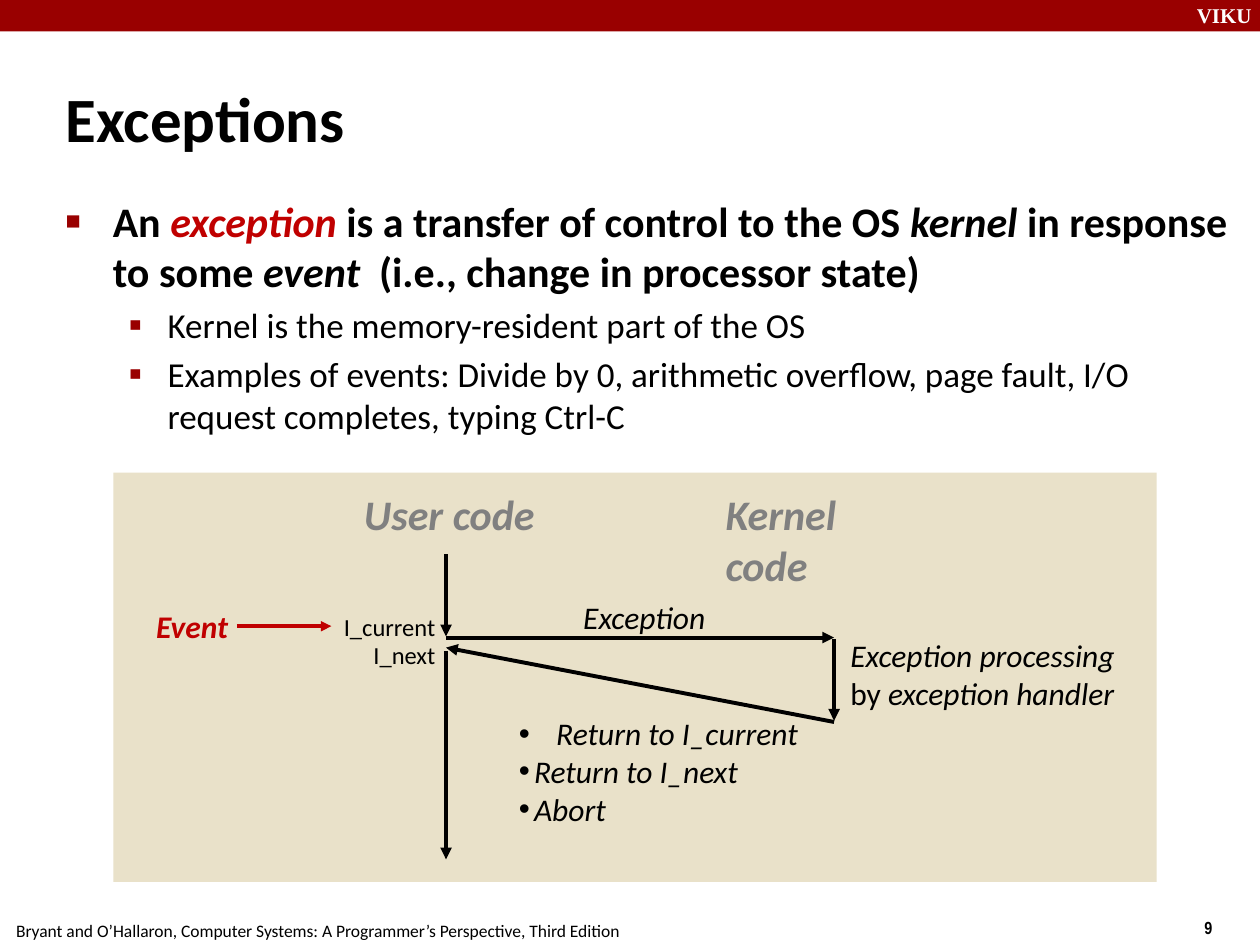
from dataclasses import dataclass
from lxml.etree import SubElement as Sub
from pptx import Presentation
from pptx.dml.color import RGBColor as Rgb
from pptx.enum.shapes import MSO_CONNECTOR as Link, MSO_SHAPE as Form
from pptx.enum.text import MSO_ANCHOR as Anchor, MSO_AUTO_SIZE as Fit, PP_ALIGN as Align
from pptx.oxml.ns import qn
from pptx.util import Inches, Pt

WIDE, HIGH = Inches(10), Inches(7.5)
COL, ROW = WIDE / 100, HIGH / 75


@dataclass(frozen=True)
class Theme:
    font: str = "Calibri"
    serif: str = "Times New Roman"
    narrow: str = "Arial Narrow"
    ink: str = "000000"
    white: str = "FFFFFF"
    band: str = "990000"
    red: str = "C00000"
    gray: str = "808080"
    sand: str = "E9E1C9"
    title: int = 36
    head: int = 24
    item: int = 20
    label: int = 18
    code: int = 14
    brand: int = 12
    foot: int = 10
    line: float = 2.25


T = Theme()


def cells(x, y, w, h):
    return int(x * COL), int(y * ROW), int(w * COL), int(h * ROW)


def place(shape, *area):
    shape.left, shape.top, shape.width, shape.height = cells(*area)


def add_run(para, text, size, color=T.ink, font=T.font, bold=False, slant=False):
    run = para.add_run()
    run.text = text
    face = run.font
    face.name, face.size = font, Pt(size)
    face.bold, face.italic = bold, slant
    face.color.rgb = Rgb.from_string(color)


def indent(para, left, hang):
    props = para._p.get_or_add_pPr()
    props.set("marL", str(int(left * COL)))
    props.set("indent", str(int(-hang * COL)))
    return props


def bullet(para, mark, left, hang, color=T.ink, share=100):
    props = indent(para, left, hang)
    tint = Sub(props, qn("a:buClr"))
    Sub(tint, qn("a:srgbClr"), val=color)
    Sub(props, qn("a:buSzPct"), val=str(share * 1000))
    Sub(props, qn("a:buFont"), typeface="Arial")
    Sub(props, qn("a:buChar"), char=mark)


def add_rect(slide, area, color):
    rect = slide.shapes.add_shape(Form.RECTANGLE, *cells(*area))
    rect.shadow.inherit = False
    rect.fill.solid()
    rect.fill.fore_color.rgb = Rgb.from_string(color)
    rect.line.fill.background()


def add_frame(slide, area):
    frame = slide.shapes.add_textbox(*cells(*area)).text_frame
    frame.word_wrap = True
    frame.auto_size = Fit.NONE
    return frame


def add_label(slide, area, text, size, align=Align.LEFT, **style):
    para = add_frame(slide, area).paragraphs[0]
    para.alignment = align
    add_run(para, text, size, **style)


def add_arrow(slide, start, end, color=T.ink, width=T.line):
    x1, y1, x2, y2 = cells(*start, *end)
    line = slide.shapes.add_connector(Link.STRAIGHT, x1, y1, x2, y2)
    line.line.color.rgb = Rgb.from_string(color)
    line.line.width = Pt(width)
    Sub(line.line._get_or_add_ln(), qn("a:tailEnd"), type="triangle")
    Sub(line._element.spPr, qn("a:effectLst"))


def next_para(frame, first):
    return frame.paragraphs[0] if first else frame.add_paragraph()


def fill_title(slide):
    title = slide.shapes.title
    place(title, 4.2, 5.8, 36.7, 6.3)
    frame = title.text_frame
    frame.vertical_anchor, frame.auto_size = Anchor.TOP, Fit.NONE
    para = frame.paragraphs[0]
    para.alignment = Align.LEFT
    indent(para, 1.3, 1.3)
    add_run(para, "Exceptions", T.title, bold=True)


def fill_body(slide):
    body = slide.placeholders[1]
    place(body, 4.2, 15, 95, 20.8)
    frame = body.text_frame
    frame.auto_size = Fit.NONE
    para = frame.paragraphs[0]
    para.space_before = Pt(4.8)
    bullet(para, "■", 3.75, 3.75, T.band, 60)
    for text, color, slant in (
        ("An ", T.ink, False),
        ("exception", T.red, True),
        (" is a transfer of control to the OS ", T.ink, False),
        ("kernel", T.ink, True),
        (" in response to some ", T.ink, False),
        ("event", T.ink, True),
        ("  (i.e., change in processor state)", T.ink, False),
    ):
        add_run(para, text, T.head, color, bold=True, slant=slant)
    for text in (
        "Kernel is the memory-resident part of the OS",
        "Examples of events: Divide by 0, arithmetic overflow, page fault, "
        "I/O request completes, typing Ctrl-C",
    ):
        para = frame.add_paragraph()
        para.level = 1
        para.space_before = Pt(4)
        bullet(para, "▪", 8.1, 3.1, T.band, 110)
        add_run(para, text, T.item)


def add_edges(slide):
    add_rect(slide, (0, 0, 100, 2.5), T.band)
    add_label(slide, (94, -0.3, 6.7, 3), "VIKU", T.brand,
              color=T.white, font=T.serif, bold=True)
    add_label(slide, (94.6, 72.3, 5, 2.7), "9", T.foot, font=T.narrow, bold=True)
    add_label(slide, (0.3, 72.5, 53, 2.7),
              "Bryant and O’Hallaron, Computer Systems: "
              "A Programmer’s Perspective, Third Edition", T.foot)


def add_flow(slide):
    user, kernel = 35.4, 66.2
    for start, end in (
        ((user, 44), (user, 50.5)),
        ((user, 50.6), (kernel, 50.6)),
        ((kernel, 50.7), (kernel, 57.2)),
        ((kernel, 57.3), (user, 51.4)),
        ((user, 51.7), (user, 68.2)),
    ):
        add_arrow(slide, start, end)
    add_arrow(slide, (18.8, 49.7), (26.3, 49.7), T.red, 2)


def add_notes(slide):
    heads = dict(color=T.gray, bold=True, slant=True)
    add_label(slide, (27.9, 38.3, 17, 5), "User code", T.head, **heads)
    add_label(slide, (56.6, 38.3, 17.5, 9), "Kernel code", T.head, **heads)
    add_label(slide, (45.3, 47, 12.5, 4), "Exception", T.label, slant=True)
    add_label(slide, (11.4, 47.7, 8.8, 4), "Event", T.label,
              color=T.red, bold=True, slant=True)
    for text, y, wide in (("I_current", 48.1, 10), ("I_next", 50.3, 7.5)):
        add_label(slide, (35.55 - wide, y, wide, 3.3), text, T.code, align=Align.RIGHT)

    frame = add_frame(slide, (66.5, 50, 23.5, 7))
    add_run(frame.paragraphs[0], "Exception processing", T.label, slant=True)
    para = frame.add_paragraph()
    add_run(para, "by ", T.label)
    add_run(para, "exception handler", T.label, slant=True)

    frame = add_frame(slide, (40.2, 56.2, 26, 10))
    for row, (text, left) in enumerate((
        (" Return to I_current", 2.4),
        ("Return to I_next", 1.2),
        ("Abort", 1.2),
    )):
        para = next_para(frame, row == 0)
        bullet(para, "•", left, left)
        add_run(para, text, T.label, slant=True)


def main():
    deck = Presentation()
    deck.slide_width, deck.slide_height = WIDE, HIGH
    slide = deck.slides.add_slide(deck.slide_layouts[1])
    add_edges(slide)
    fill_title(slide)
    fill_body(slide)
    add_rect(slide, (9, 37.5, 82.8, 32.5), T.sand)
    add_flow(slide)
    add_notes(slide)
    deck.save("out.pptx")


if __name__ == "__main__":
    main()
